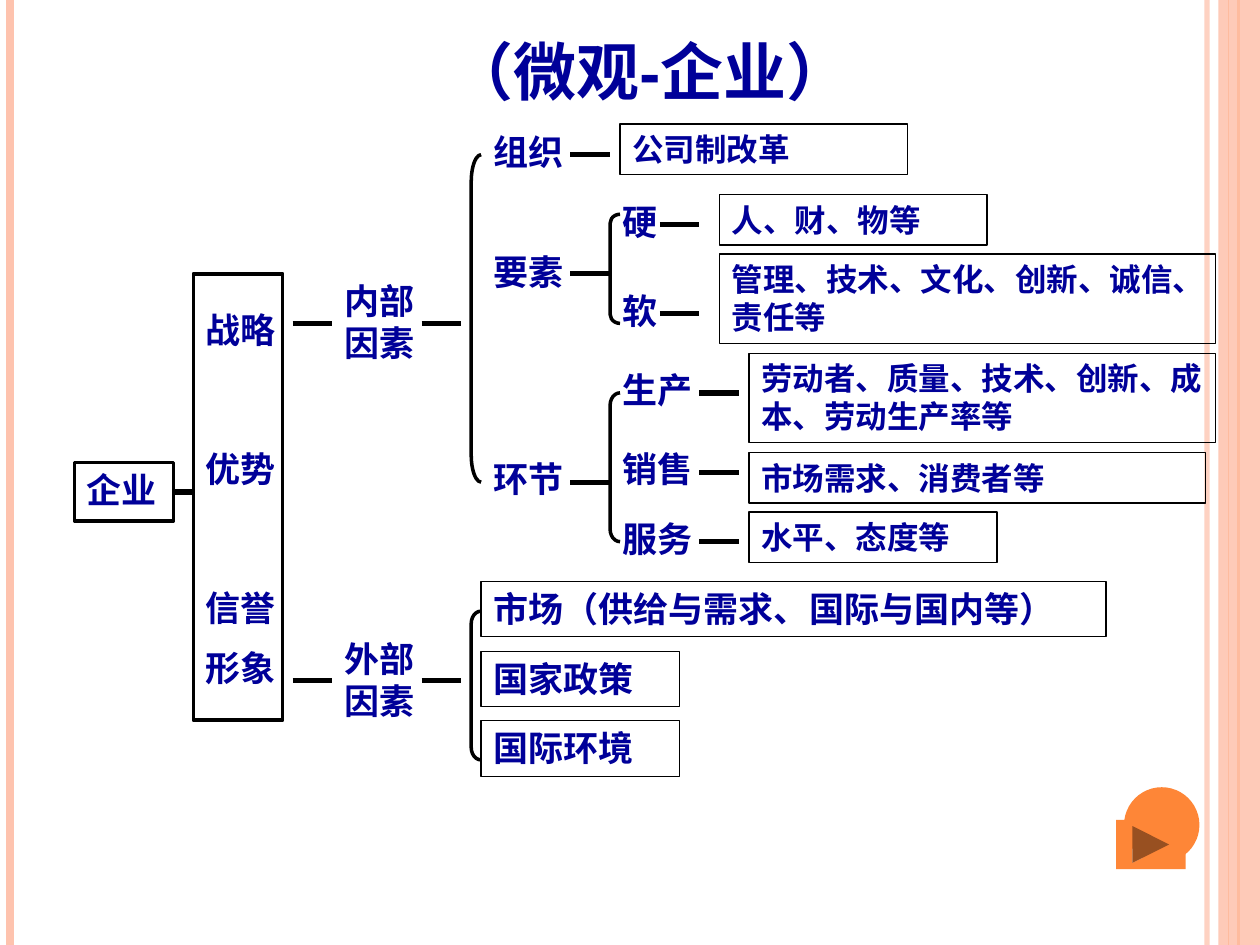
import pptx
import pptx.dml.color
import pptx.enum.shapes
import pptx.enum.text
import pptx.oxml.ns
import pptx.util
from lxml import etree

Cm = pptx.util.Cm
Pt = pptx.util.Pt
SHAPES = pptx.enum.shapes.MSO_SHAPE
NAVY, BLACK, ORANGE, PEACH = "000099", "000000", "FE8637", "FEC3AE"
ROW = 1.1

TITLE = "（微观-企业）"
STRIPES = [
    (24.33, PEACH, 3, 75),
    (0.2, PEACH, 4.5, 100),
    (24.97, ORANGE, 1.5, 100),
    (24.77, ORANGE, 0.75, 100),
]
LABELS = [
    (["战略"], 3.9, 6.1, 2.2, ROW),
    (["优势"], 3.9, 8.9, 2.2, ROW),
    (["信誉", "形象"], 3.9, 11.7, 2, 2.36),
    (["内部因素"], 6.7, 5.5, 2.1, 1.96),
    (["外部因素"], 6.7, 12.72, 2.2, 1.96),
    (["组织"], 9.7, 2.5, 2.2, ROW),
    (["要素"], 9.7, 4.92, 2.4, ROW),
    (["环节"], 9.7, 9.1, 2, ROW),
    (["硬"], 12.3, 3.92, 2, ROW),
    (["软"], 12.3, 5.72, 2, ROW),
    (["生产"], 12.3, 7.3, 2.2, ROW),
    (["销售"], 12.3, 8.9, 2.2, ROW),
    (["服务"], 12.3, 10.3, 2.2, ROW),
]
BOXES = [
    ("企业", 1.5, 9.32, 2, 1.18, 20, 2),
    ("公司制改革", 12.5, 2.5, 5.8, 1.02, 18, 0.75),
    ("人、财、物等", 14.5, 3.92, 5.4, 1.02, 18, 0.75),
    ("管理、技术、文化、创新、诚信、责任等", 14.5, 5.12, 10, 1.8, 18, 0.75),
    ("劳动者、质量、技术、创新、成本、劳动生产率等", 15.1, 7.12, 9.4, 1.8, 18, 0.75),
    ("市场需求、消费者等", 15.1, 9.12, 9.2, 1.02, 18, 0.75),
    ("水平、态度等", 15.1, 10.32, 5, 1.02, 18, 0.75),
    ("市场（供给与需求、国际与国内等）", 9.7, 11.72, 12.6, 1.12, 20, 0.75),
    ("国家政策", 9.7, 13.13, 4, 1.12, 20, 0.75),
    ("国际环境", 9.7, 14.53, 4, 1.12, 20, 0.75),
]
BRACKETS = [(9.5, 3.12, 6.6), (9.5, 12.32, 3), (12.3, 4.32, 2.2), (12.3, 7.92, 3)]
LINKS = [
    (3.5, 0.4, [9.92]),
    (5.9, 0.8, [6.52, 13.72]),
    (8.5, 0.8, [6.52, 13.72]),
    (11.5, 0.8, [3.12, 5.52, 9.72]),
    (13.3, 0.8, [4.52, 6.32]),
    (14.1, 0.8, [7.92, 9.52, 10.92]),
]


def rgb(value):
    return pptx.dml.color.RGBColor.from_string(value)


def set_alpha(fill, percent):
    color = fill._xPr.find(".//" + pptx.oxml.ns.qn("a:srgbClr"))
    etree.SubElement(color, pptx.oxml.ns.qn("a:alpha"), val=str(percent * 1000))


def write(shape, lines, size=20, font="Cabin", align="LEFT"):
    frame = shape.text_frame
    frame.word_wrap = True
    frame.auto_size = pptx.enum.text.MSO_AUTO_SIZE.NONE
    frame.vertical_anchor = pptx.enum.text.MSO_ANCHOR.TOP
    for index, line in enumerate(lines):
        paragraph = frame.add_paragraph() if index else frame.paragraphs[0]
        paragraph.alignment = getattr(pptx.enum.text.PP_ALIGN, align)
        paragraph.space_before = Pt(size / 2 if index else 0)
        run = paragraph.add_run()
        run.text = line
        run.font.size = Pt(size)
        run.font.name = font
        run.font.bold = True
        run.font.color.rgb = rgb(NAVY)


def add_shape(slide, kind, place, fill=None, line=None, alpha=100):
    shape = slide.shapes.add_shape(kind, *map(Cm, place))
    shape.shadow.inherit = False
    if fill:
        shape.fill.solid()
        shape.fill.fore_color.rgb = rgb(fill)
        if alpha < 100:
            set_alpha(shape.fill, alpha)
    else:
        shape.fill.background()
    if line:
        shape.line.color.rgb = rgb(BLACK)
        shape.line.width = Pt(line)
    else:
        shape.line.fill.background()
    return shape


def add_line(slide, start, end, color=BLACK, width=3, alpha=100):
    connector = slide.shapes.add_connector(
        pptx.enum.shapes.MSO_CONNECTOR.STRAIGHT, *map(Cm, start + end))
    connector.line.color.rgb = rgb(color)
    connector.line.width = Pt(width)
    properties = connector._element.spPr
    if alpha < 100:
        color_element = properties.find(".//" + pptx.oxml.ns.qn("a:srgbClr"))
        etree.SubElement(color_element, pptx.oxml.ns.qn("a:alpha"), val=str(alpha * 1000))
    etree.SubElement(properties, pptx.oxml.ns.qn("a:effectLst"))


def main():
    presentation = pptx.Presentation()
    presentation.slide_width, presentation.slide_height = Cm(25.4), Cm(19.05)
    slide = presentation.slides.add_slide(presentation.slide_layouts[5])

    for x, color, width, alpha in STRIPES:
        add_line(slide, (x, 0), (x, 19.05), color, width, alpha)
    add_shape(slide, SHAPES.RECTANGLE, (24.56, 0, 0.84, 19.05), fill=PEACH, alpha=87)
    add_shape(slide, SHAPES.OVAL, (22.66, 15.87, 1.52, 1.52), fill=ORANGE)

    title = slide.shapes.title
    title.left, title.top, title.width, title.height = map(Cm, (4.3, 0.53, 17.6, 1.78))
    write(title, [TITLE], size=36, font="Arial", align="CENTER")

    add_shape(slide, SHAPES.RECTANGLE, (3.9, 5.52, 1.8, 9), line=2)
    for lines, *place in LABELS:
        write(slide.shapes.add_textbox(*map(Cm, place)), lines)
    for text, left, top, width, height, size, line in BOXES:
        box = add_shape(slide, SHAPES.RECTANGLE, (left, top, width, height), line=line)
        write(box, [text], size=size)
    for left, top, height in BRACKETS:
        bracket = add_shape(slide, SHAPES.LEFT_BRACKET, (left, top, 0.2, height), line=2)
        bracket.adjustments[0] = height / 12 / 0.2
    for left, length, rows in LINKS:
        for y in rows:
            add_line(slide, (left, y), (left + length, y))
    add_shape(slide, SHAPES.ACTION_BUTTON_FORWARD_OR_NEXT, (22.5, 16.53, 1.4, 0.99), fill=ORANGE)

    presentation.save("out.pptx")


if __name__ == "__main__":
    main()
